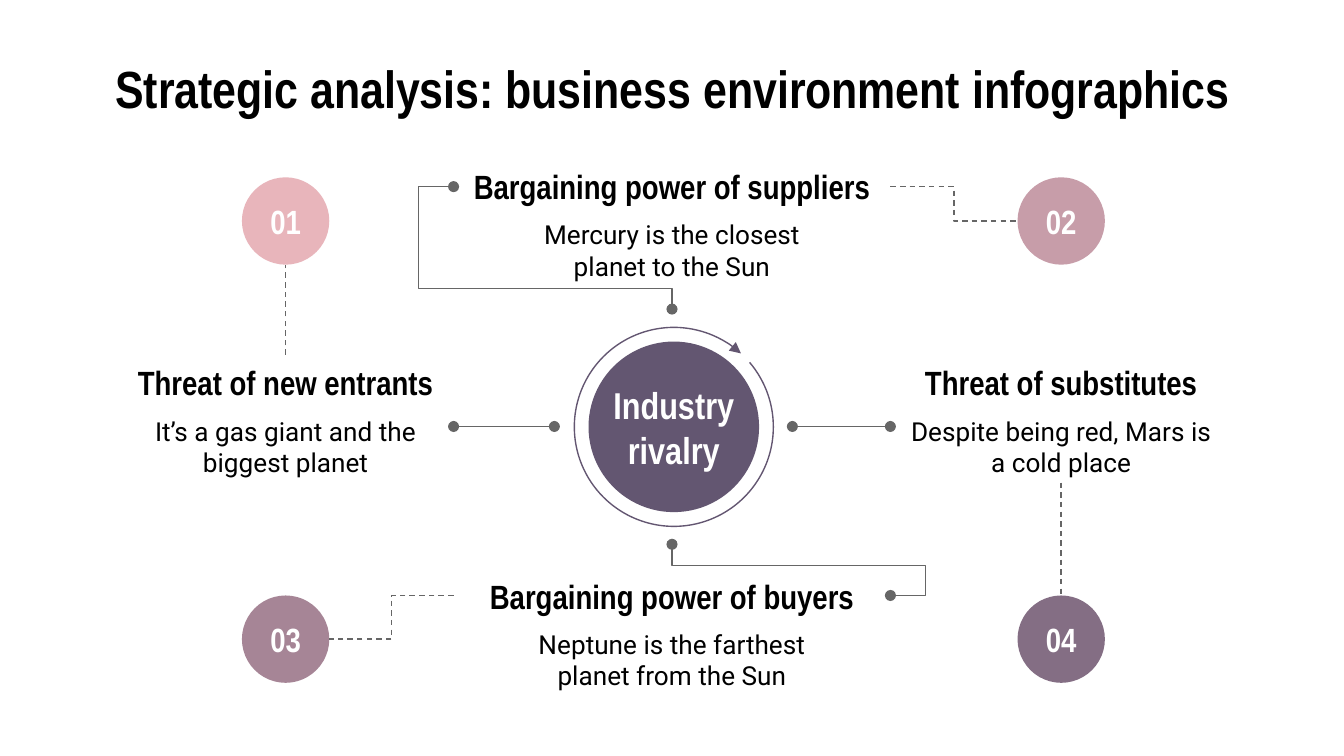
from dataclasses import dataclass

import lxml.etree
import pptx
import pptx.dml.color
import pptx.enum.dml
import pptx.enum.shapes
import pptx.enum.text
import pptx.oxml.ns
import pptx.util

Pt = pptx.util.Pt
RGBColor = pptx.dml.color.RGBColor
SHAPE = pptx.enum.shapes.MSO_SHAPE
CONNECTOR = pptx.enum.shapes.MSO_CONNECTOR
qn = pptx.oxml.ns.qn

BLACK = RGBColor(0x00, 0x00, 0x00)
WHITE = RGBColor(0xFF, 0xFF, 0xFF)
GREY = RGBColor(0x66, 0x66, 0x66)
PURPLE = RGBColor(0x63, 0x56, 0x71)
PINK = RGBColor(0xE8, 0xB5, 0xBB)
ROSE = RGBColor(0xC7, 0x9D, 0xA9)
MAUVE = RGBColor(0xA6, 0x85, 0x96)
PLUM = RGBColor(0x84, 0x6E, 0x84)

HEADING_FONT = "Arial Narrow"
BODY_FONT = "Roboto"

LEFT, CENTRE, RIGHT = 153, 360, 568.5
TOP_ROW, MIDDLE_ROW, BOTTOM_ROW = 85, 190.2, 304.6
TOP_BADGE, BOTTOM_BADGE = 118.4, 342.4
TEXT_LEFT, TEXT_RIGHT = 243, 477
TOP_LINE, MIDDLE_LINE, BOTTOM_LINE = 100, 228.5, 319
HUB_X, HUB_Y = 361, 228.7


@dataclass
class Force:
    number: str
    heading: str
    body: str
    text_x: float
    text_top: float
    badge_x: float
    badge_y: float
    color: RGBColor


@dataclass
class Link:
    start: tuple[float, float]
    end: tuple[float, float]
    bends: tuple[float, ...] = ()
    dashed: bool = False
    half_turn: bool = False


FORCES = [
    Force("01", "Threat of new entrants", "It’s a gas giant and the biggest planet",
          LEFT, MIDDLE_ROW, LEFT, TOP_BADGE, PINK),
    Force("02", "Bargaining power of suppliers", "Mercury is the closest planet to the Sun",
          CENTRE, TOP_ROW, RIGHT, TOP_BADGE, ROSE),
    Force("03", "Bargaining power of buyers", "Neptune is the farthest planet from the Sun",
          CENTRE, BOTTOM_ROW, LEFT, BOTTOM_BADGE, MAUVE),
    Force("04", "Threat of substitutes", "Despite being red, Mars is a cold place",
          RIGHT, MIDDLE_ROW, RIGHT, BOTTOM_BADGE, PLUM),
]

LINKS = [
    Link((TEXT_LEFT, TOP_LINE), (CENTRE, 165.6), bends=(-0.16, 0.83)),
    Link((TEXT_LEFT, MIDDLE_LINE), (297, MIDDLE_LINE)),
    Link((424.5, MIDDLE_LINE), (TEXT_RIGHT, MIDDLE_LINE)),
    Link((CENTRE, 291.6), (TEXT_RIGHT, BOTTOM_LINE), bends=(-0.16, 0.59), half_turn=True),
    Link((TEXT_RIGHT, TOP_LINE), (545, TOP_BADGE), bends=(0.5,), dashed=True),
    Link((LEFT, MIDDLE_ROW), (LEFT, 141.8), dashed=True),
    Link((TEXT_LEFT, BOTTOM_LINE), (176.4, BOTTOM_BADGE), bends=(0.5,), dashed=True),
    Link((RIGHT, 258.6), (RIGHT, BOTTOM_LINE), dashed=True),
]


def write_text(shape, text: str, *, size: float, font: str = HEADING_FONT,
               color: RGBColor = BLACK, bold: bool = True) -> None:
    frame = shape.text_frame
    frame.word_wrap = True
    frame.vertical_anchor = pptx.enum.text.MSO_ANCHOR.MIDDLE
    frame.margin_left = frame.margin_right = Pt(7.2)
    frame.margin_top = frame.margin_bottom = Pt(7.2)
    para = frame.paragraphs[0]
    para.alignment = pptx.enum.text.PP_ALIGN.CENTER
    span = para.add_run()
    span.text = text
    span.font.size = Pt(size)
    span.font.name = font
    span.font.bold = bold
    span.font.color.rgb = color


def add_text(slide, text: str, center_x: float, top: float, width: float,
             height: float, **style) -> None:
    box = slide.shapes.add_textbox(Pt(center_x - width / 2), Pt(top), Pt(width), Pt(height))
    write_text(box, text, **style)


def add_round(slide, kind, center_x: float, center_y: float, size: float):
    shape = slide.shapes.add_shape(kind, Pt(center_x - size / 2), Pt(center_y - size / 2),
                                   Pt(size), Pt(size))
    shape.shadow.inherit = False
    return shape


def add_disc(slide, center_x: float, center_y: float, size: float, color: RGBColor):
    disc = add_round(slide, SHAPE.OVAL, center_x, center_y, size)
    disc.fill.solid()
    disc.fill.fore_color.rgb = color
    disc.line.fill.background()
    return disc


def add_line_ends(line, **ends: str) -> None:
    """Set the markers at the ends of a line, headEnd before tailEnd."""
    for tag, kind in ends.items():
        lxml.etree.SubElement(line, qn(f"a:{tag}"), type=kind)


def add_hub(slide) -> None:
    arc = add_round(slide, SHAPE.ARC, HUB_X, HUB_Y, 106.6)
    arc.adjustments[0], arc.adjustments[1] = 191.76, 187.43
    arc.fill.background()
    arc.line.color.rgb = PURPLE
    arc.line.width = Pt(0.75)
    add_line_ends(arc.element.spPr.find(qn("a:ln")), tailEnd="triangle")
    add_disc(slide, HUB_X, HUB_Y, 91.4, PURPLE)
    add_text(slide, "Industry rivalry", HUB_X, 205.2, 91.4, 46.8, size=20, color=WHITE)


def add_link(slide, link: Link) -> None:
    kind = CONNECTOR.ELBOW if link.bends else CONNECTOR.STRAIGHT
    connector = slide.shapes.add_connector(kind, *map(Pt, link.start + link.end))
    connector.line.color.rgb = GREY
    connector.line.width = Pt(0.75)
    properties = connector.element.spPr
    if link.bends:
        geometry = properties.find(qn("a:prstGeom"))
        geometry.set("prst", f"bentConnector{len(link.bends) + 2}")
        guides = geometry.find(qn("a:avLst"))
        for index, bend in enumerate(link.bends, 1):
            lxml.etree.SubElement(guides, qn("a:gd"), name=f"adj{index}",
                                  fmla=f"val {round(bend * 100000)}")
    if link.half_turn:
        properties.find(qn("a:xfrm")).set("rot", str(180 * 60000))
    if link.dashed:
        connector.line.dash_style = pptx.enum.dml.MSO_LINE.DASH
    else:
        add_line_ends(properties.find(qn("a:ln")), headEnd="oval", tailEnd="oval")
    lxml.etree.SubElement(properties, qn("a:effectLst"))


def add_force(slide, force: Force) -> None:
    add_text(slide, force.heading, force.text_x, force.text_top, 234, 29, size=18)
    add_text(slide, force.body, force.text_x, force.text_top + 29.8, 183, 38.2,
             size=14, font=BODY_FONT, bold=False)
    badge = add_disc(slide, force.badge_x, force.badge_y, 46.8, force.color)
    write_text(badge, force.number, size=18, color=WHITE)


def main() -> None:
    deck = pptx.Presentation()
    deck.slide_width, deck.slide_height = Pt(720), Pt(405)
    slide = deck.slides.add_slide(deck.slide_layouts[6])
    add_text(slide, "Strategic analysis: business environment infographics",
             CENTRE, 32.4, 648, 29.5, size=28)
    add_hub(slide)
    for force in FORCES:
        add_force(slide, force)
    for link in LINKS:
        add_link(slide, link)
    deck.save("out.pptx")


if __name__ == "__main__":
    main()
